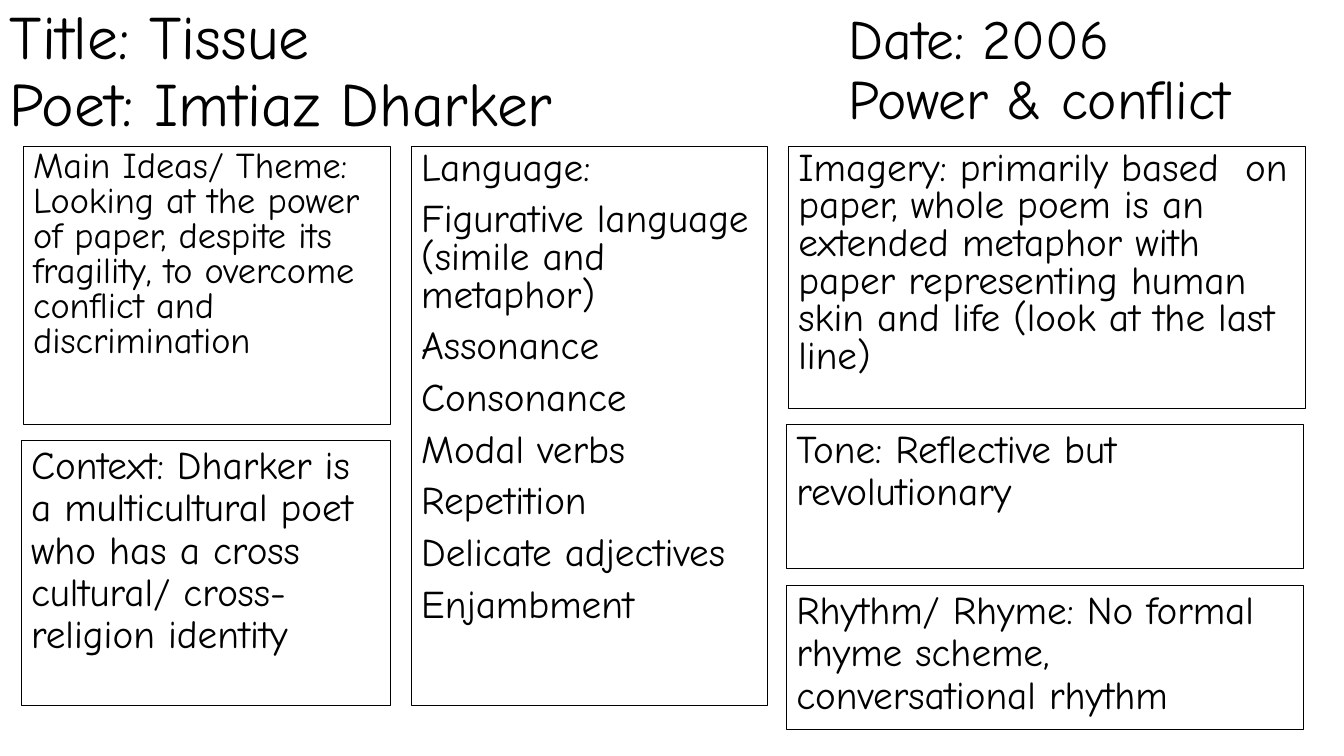
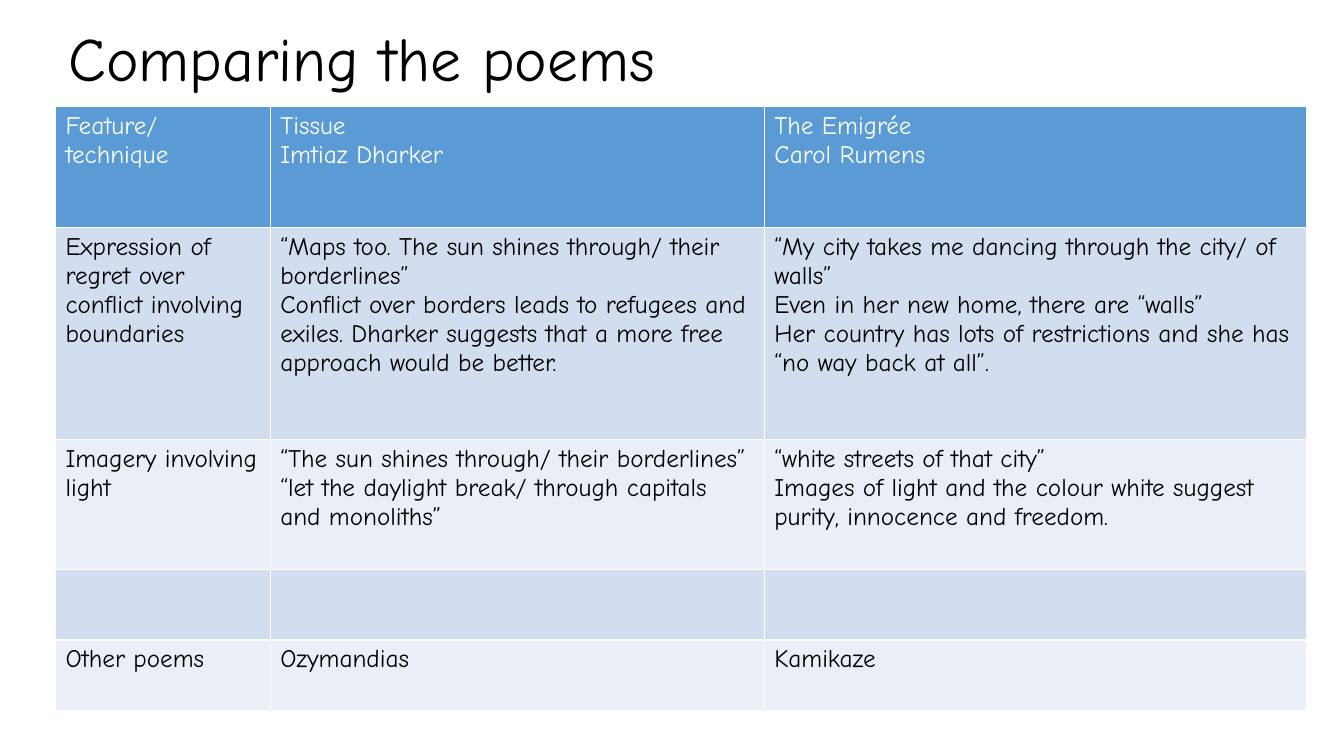
from pptx import Presentation
from pptx.dml.color import RGBColor
from pptx.enum import shapes, text
from pptx.util import Inches, Pt

FONT = "Comic Neue"
BLACK = RGBColor(0x00, 0x00, 0x00)
WHITE = RGBColor(0xFF, 0xFF, 0xFF)
HEADER_BLUE = RGBColor(0x5B, 0x9B, 0xD5)
BANDS = (RGBColor(0xD2, 0xDE, 0xEF), RGBColor(0xEA, 0xEF, 0xF7))

# Box (left, top, width, height), wording, size, line spacing
NOTES = [
    ((0.23, 1.45, 3.64, 2.76),
     "Main Ideas/ Theme: Looking at the power of paper, despite its fragility, "
     "to overcome conflict and discrimination", 25.9, 0.8),
    ((0.21, 4.37, 3.66, 2.63),
     "Context: Dharker is a multicultural poet who has a cross cultural/ "
     "cross-religion identity", 28, 0.9),
    ((4.08, 1.45, 3.53, 5.55),
     "Language:\nFigurative language (simile and metaphor)\nAssonance\nConsonance\n"
     "Modal verbs\nRepetition\nDelicate adjectives\nEnjambment", 28, 0.8),
    ((7.82, 1.45, 5.13, 2.6),
     "Imagery: primarily based  on paper, whole poem is an extended metaphor with "
     "paper representing human skin and life (look at the last line)", 28, 0.8),
    ((7.8, 4.21, 5.13, 1.43), "Tone: Reflective but revolutionary", 28, 0.9),
    ((7.8, 5.81, 5.13, 1.43),
     "Rhythm/ Rhyme: No formal rhyme scheme, conversational rhythm", 28, 0.9),
]

COLUMN_WIDTHS = (2.13, 4.9, 5.38)
ROW_HEIGHTS = (1.2, 2.1, 1.29, 0.7, 0.7)
COMPARISON = [
    ("Feature/ technique", "Tissue\nImtiaz Dharker", "The Emigrée\nCarol Rumens"),
    ("Expression of regret over conflict involving boundaries",
     "“Maps too. The sun shines through/ their borderlines”\n"
     "Conflict over borders leads to refugees and exiles. Dharker suggests that "
     "a more free approach would be better.",
     "“My city takes me dancing through the city/ of walls”\n"
     "Even in her new home, there are “walls”\n"
     "Her country has lots of restrictions and she has “no way back at all”."),
    ("Imagery involving light",
     "“The sun shines through/ their borderlines”\n"
     "“let the daylight break/ through capitals and monoliths”",
     "“white streets of that city”\n"
     "Images of light and the colour white suggest purity, innocence and freedom."),
    ("", "", ""),
    ("Other poems", "Ozymandias", "Kamikaze"),
]


def write(frame, words, size, color=BLACK, **para_format):
    """Fill a text frame; a newline starts a paragraph, \\v breaks a line."""
    frame.text = words
    frame.word_wrap = True
    font_format = {"name": FONT, "size": Pt(size), "bold": False}
    for para in frame.paragraphs:
        for name, value in para_format.items():
            setattr(para, name, value)
        for span in para.runs:
            for name, value in font_format.items():
                setattr(span.font, name, value)
            span.font.color.rgb = color


def add_title(page, box, words, size=44):
    frame = page.shapes.add_textbox(*map(Inches, box)).text_frame
    frame.vertical_anchor = text.MSO_ANCHOR.MIDDLE
    write(frame, words, size, line_spacing=0.9)


def add_note(page, box, words, size, line_spacing):
    note = page.shapes.add_shape(shapes.MSO_SHAPE.RECTANGLE, *map(Inches, box))
    note.shadow.inherit = False
    note.fill.background()
    note.line.color.rgb = BLACK
    note.line.width = Pt(0.75)
    note.text_frame.vertical_anchor = text.MSO_ANCHOR.TOP
    write(note.text_frame, words, size, alignment=text.PP_ALIGN.LEFT,
          line_spacing=line_spacing, space_before=Pt(10))


def add_comparison(page, left, top):
    box = (left, top, sum(COLUMN_WIDTHS), sum(ROW_HEIGHTS))
    table = page.shapes.add_table(
        len(ROW_HEIGHTS), len(COLUMN_WIDTHS), *map(Inches, box)).table
    for column, width in zip(table.columns, COLUMN_WIDTHS):
        column.width = Inches(width)
    for index, (row, height) in enumerate(zip(table.rows, ROW_HEIGHTS)):
        row.height = Inches(height)
        fill = BANDS[(index - 1) % 2] if index else HEADER_BLUE
        for cell, words in zip(row.cells, COMPARISON[index]):
            cell.fill.solid()
            cell.fill.fore_color.rgb = fill
            write(cell.text_frame, words, 18, BLACK if index else WHITE)


def build_poem_slide(page):
    add_title(page, (0, 0, 8.07, 1.45), "Title: Tissue\vPoet: Imtiaz Dharker")
    add_title(page, (8.32, 0.14, 5.01, 1.14), "Date: 2006\vPower & conflict", 39.6)
    for note in NOTES:
        add_note(page, *note)


def build_comparison_slide(page):
    add_title(page, (0.58, 0.17, 12.36, 0.89), "Comparing the poems")
    add_comparison(page, 0.55, 1.06)


def main():
    deck = Presentation()
    deck.slide_width, deck.slide_height = Inches(13.33), Inches(7.5)
    for build in (build_poem_slide, build_comparison_slide):
        build(deck.slides.add_slide(deck.slide_layouts[6]))
    deck.save("out.pptx")


if __name__ == "__main__":
    main()
